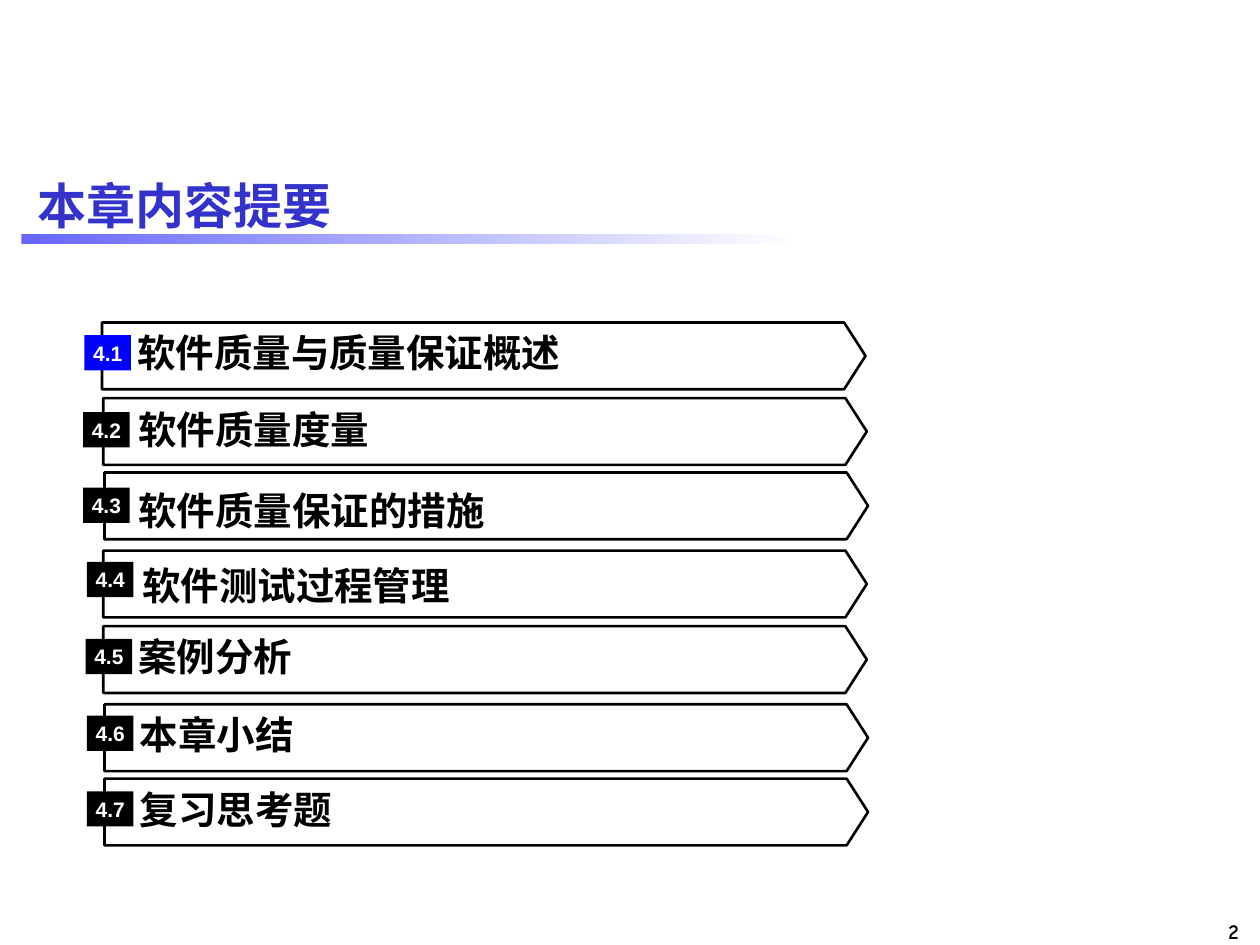
from dataclasses import dataclass

from lxml.etree import SubElement
from pptx import Presentation
from pptx.dml.color import RGBColor
from pptx.enum.shapes import MSO_SHAPE as Preset
from pptx.enum.text import MSO_ANCHOR as Anchor, PP_ALIGN as Align
from pptx.oxml.ns import qn
from pptx.util import Inches, Pt

WHITE = RGBColor(0xFF, 0xFF, 0xFF)
BLACK = RGBColor(0, 0, 0)
ACTIVE_BLUE = RGBColor(0, 0, 0xFF)
TITLE_BLUE = RGBColor(0x33, 0x33, 0xCC)
RULE_BLUE = RGBColor(0x66, 0x66, 0xFF)

CJK_FONT = "Noto Sans CJK SC"
SERIF = "Times New Roman"
NO_MARGINS = dict.fromkeys(
    ("margin_left", "margin_top", "margin_right", "margin_bottom"), 0)

ARROW_WIDTH, ARROW_HEIGHT, ARROW_TIP = 6.06, 0.53, 0.17
BADGE_WIDTH, BADGE_HEIGHT = 0.37, 0.28
LABEL_WIDTH, LABEL_HEIGHT = 5.38, 0.37


@dataclass(frozen=True)
class Section:
    number: str
    heading: str
    arrow: tuple[float, float]
    badge: tuple[float, float]
    label: tuple[float, float]
    font: str = SERIF
    badge_color: RGBColor = BLACK


# Left and top of each arrow, number badge and heading
SECTIONS = [
    Section("4.1", "软件质量与质量保证概述", (0.81, 2.56), (0.67, 2.66), (1.09, 2.61),
            CJK_FONT, ACTIVE_BLUE),
    Section("4.2", "软件质量度量", (0.82, 3.16), (0.66, 3.27), (1.1, 3.22), CJK_FONT),
    Section("4.3", "软件质量保证的措施", (0.83, 3.75), (0.66, 3.87), (1.1, 3.86)),
    Section("4.4", "软件测试过程管理", (0.82, 4.37), (0.69, 4.46), (1.13, 4.46)),
    Section("4.5", "案例分析", (0.82, 4.97), (0.68, 5.07), (1.1, 5.02)),
    Section("4.6", "本章小结", (0.83, 5.59), (0.69, 5.68), (1.11, 5.64)),
    Section("4.7", "复习思考题", (0.83, 6.18), (0.69, 6.28), (1.11, 6.24)),
]


def write(shape, text: str, size: float, font: str, color: RGBColor,
          align=Align.LEFT, **frame_format) -> None:
    """Put one bold line of text into a shape."""
    frame = shape.text_frame
    for name, value in {"word_wrap": True, "vertical_anchor": Anchor.MIDDLE,
                        **frame_format}.items():
        setattr(frame, name, value)
    line = frame.paragraphs[0]
    line.alignment = align
    run = line.add_run()
    run.text = text
    for name, value in {"name": font, "size": Pt(size), "bold": True}.items():
        setattr(run.font, name, value)
    run.font.color.rgb = color
    SubElement(run.font._element, qn("a:ea"), typeface=CJK_FONT)


def add_text(slide, left: float, top: float, width: float, height: float,
             *text, **text_format) -> None:
    box = slide.shapes.add_textbox(*map(Inches, (left, top, width, height)))
    write(box, *text, **text_format)


def add_bar(slide, left: float, top: float, width: float, height: float):
    """Add a rectangle without outline or shadow."""
    bar = slide.shapes.add_shape(
        Preset.RECTANGLE, *map(Inches, (left, top, width, height)))
    bar.shadow.inherit = False
    bar.line.fill.background()
    return bar


def add_arrow(slide, left: float, top: float) -> None:
    right, bottom = left + ARROW_WIDTH, top + ARROW_HEIGHT
    shoulder = right - ARROW_TIP
    builder = slide.shapes.build_freeform(Inches(left), Inches(top))
    outline = [(shoulder, top), (right, top + ARROW_HEIGHT / 2),
               (shoulder, bottom), (left, bottom)]
    builder.add_line_segments([(Inches(x), Inches(y)) for x, y in outline])
    arrow = builder.convert_to_shape()
    arrow.shadow.inherit = False
    arrow.fill.background()
    arrow.line.color.rgb = BLACK
    arrow.line.width = Pt(1.5)


def add_section(slide, section: Section) -> None:
    add_arrow(slide, *section.arrow)
    add_text(slide, *section.label, LABEL_WIDTH, LABEL_HEIGHT,
             section.heading, 22, section.font, BLACK, **NO_MARGINS)
    badge = add_bar(slide, *section.badge, BADGE_WIDTH, BADGE_HEIGHT)
    badge.fill.solid()
    badge.fill.fore_color.rgb = section.badge_color
    write(badge, section.number, 12, "Arial", WHITE, Align.CENTER, **NO_MARGINS)


def main() -> None:
    deck = Presentation()
    deck.slide_width, deck.slide_height = Inches(10), Inches(7.5)
    slide = deck.slides.add_slide(deck.slide_layouts[6])

    # Slide number
    add_text(slide, 9.01, 7.24, 0.92, 0.3, "2", 12, "Comic Neue", BLACK,
             align=Align.RIGHT, vertical_anchor=Anchor.TOP)

    # Title over a fading rule
    rule = add_bar(slide, 0.17, 1.86, 6.17, 0.08)
    rule.fill.gradient()
    rule.fill.gradient_angle = 0
    for stop, color, position in zip(rule.fill.gradient_stops,
                                     (RULE_BLUE, WHITE), (0, 1)):
        stop.color.rgb = color
        stop.position = position
    add_text(slide, 0.2, 1.23, 9.61, 0.79, "本章内容提要", 28, "Arial", TITLE_BLUE)

    # Chapter sections
    for section in SECTIONS:
        add_section(slide, section)

    deck.save("out.pptx")


if __name__ == "__main__":
    main()
